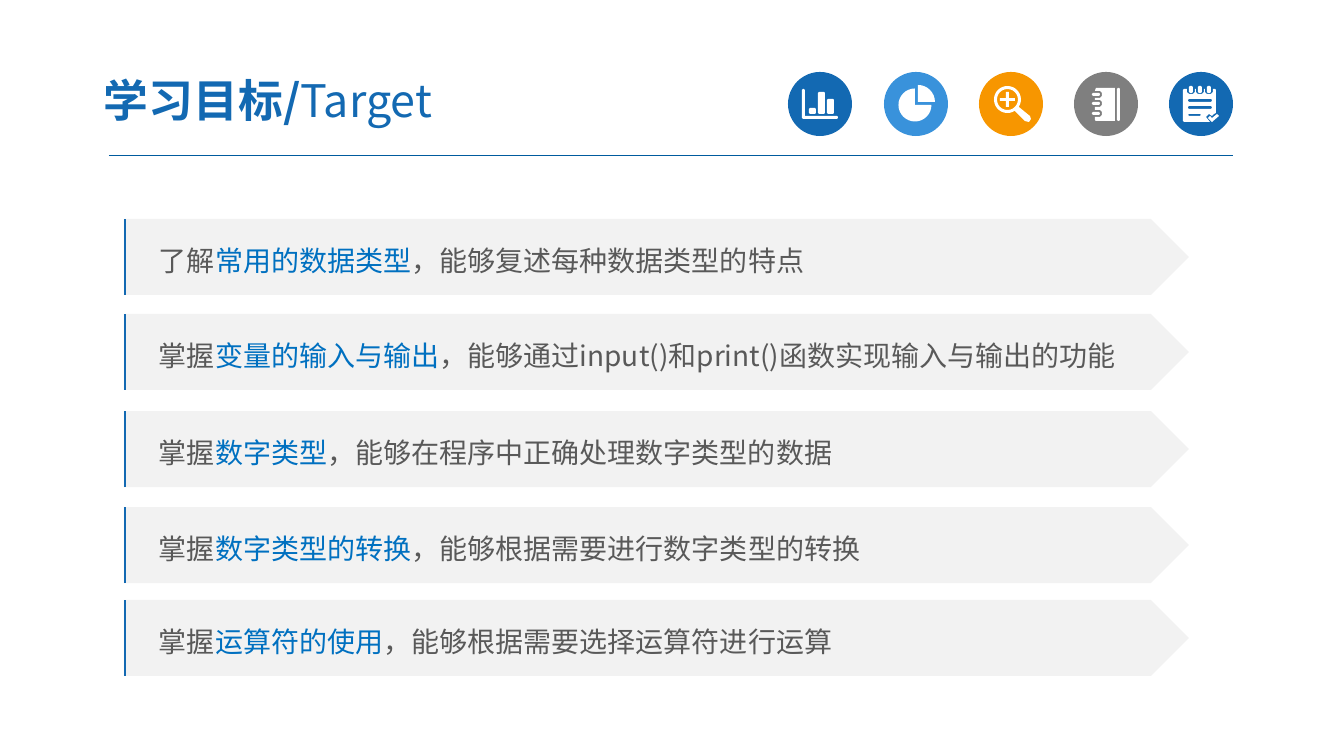
from math import ceil, cos, radians, sin

from lxml import etree
from pptx import Presentation
from pptx.dml.color import RGBColor
from pptx.enum.shapes import MSO_CONNECTOR, MSO_SHAPE
from pptx.enum.text import MSO_ANCHOR, PP_ALIGN
from pptx.oxml.ns import qn
from pptx.util import Emu, Pt

LINE = MSO_CONNECTOR.STRAIGHT
OVAL, PENTAGON = MSO_SHAPE.OVAL, MSO_SHAPE.PENTAGON
MIDDLE, LEFT = MSO_ANCHOR.MIDDLE, PP_ALIGN.LEFT

FONT = "Noto Sans CJK SC"
BLUE = RGBColor(0x13, 0x69, 0xB2)
SKY = RGBColor(0x39, 0x92, 0xDB)
ORANGE = RGBColor(0xF7, 0x96, 0x00)
GRAY = RGBColor(0x7F, 0x7F, 0x7F)
WHITE = RGBColor(0xFF, 0xFF, 0xFF)
RULE = RGBColor(0x00, 0x5B, 0x9E)
PALE = RGBColor(0xF2, 0xF2, 0xF2)
TEXT = RGBColor(0x59, 0x59, 0x59)
ACCENT = RGBColor(0x00, 0x70, 0xC0)

EMU_PER_PX = 914400 / 100.8
ICON_LEFT, ICON_TOP, ICON_SIZE, ICON_PITCH = 788, 72, 64, 95.25
BAR_LEFT, BAR_WIDTH, BAR_HEIGHT, EDGE_WIDTH = 124, 1065, 76, 12

GOALS = [
    (219, "了解", "常用的数据类型", "，能够复述每种数据类型的特点"),
    (314, "掌握", "变量的输入与输出", "，能够通过input()和print()函数实现输入与输出的功能"),
    (411, "掌握", "数字类型", "，能够在程序中正确处理数字类型的数据"),
    (507, "掌握", "数字类型的转换", "，能够根据需要进行数字类型的转换"),
    (600, "掌握", "运算符的使用", "，能够根据需要选择运算符进行运算"),
]


def px(value):
    return Emu(round(value * EMU_PER_PX))


def paint(sp, color):
    sp.shadow.inherit = False
    sp.fill.solid()
    sp.fill.fore_color.rgb = color
    sp.line.fill.background()


def add_shape(s, kind, x, y, w, h, color):
    sp = s.shapes.add_shape(kind, px(x), px(y), px(w), px(h))
    paint(sp, color)
    return sp


def add_glyph(s, x, y, contours):
    placed = [[(px(x + dx), px(y + dy)) for dx, dy in points] for points in contours]
    builder = s.shapes.build_freeform(*placed[0][0])
    for i, points in enumerate(placed):
        if i:
            builder.move_to(*points[0])
        builder.add_line_segments(points[1:], close=True)
    paint(builder.convert_to_shape(), WHITE)


def add_edge(s, x, top, height):
    builder = s.shapes.build_freeform(px(x), px(top + height))
    builder.add_line_segments([(px(x), px(top))], close=False)
    builder.move_to(px(x + EDGE_WIDTH), px(top))
    edge = builder.convert_to_shape()
    edge.shadow.inherit = False
    edge.fill.background()
    edge.line.color.rgb = BLUE
    edge.line.width = Pt(1.5)


def add_rule(s, x1, x2, y):
    line = s.shapes.add_connector(LINE, px(x1), px(y), px(x2), px(y))
    line.line.color.rgb = RULE
    line.line.width = Pt(0.75)
    etree.SubElement(line._element.spPr, qn("a:effectLst"))


def add_run(p, text, *, size, color, bold=False):
    r = p.add_run()
    r.text = text
    r.font.name = FONT
    r.font.size = Pt(size)
    r.font.bold = bold
    r.font.color.rgb = color
    ea = etree.SubElement(r._r.get_or_add_rPr(), qn("a:ea"))
    ea.set("typeface", FONT)


def set_frame(sp, left, right, vertical):
    tf = sp.text_frame
    tf.word_wrap = True
    tf.vertical_anchor = MIDDLE
    tf.margin_left, tf.margin_right = px(left), px(right)
    tf.margin_top = tf.margin_bottom = px(vertical)
    p = tf.paragraphs[0]
    p.alignment = LEFT
    return p


def strip(x, y, w, h, cut=1):
    r, b = x + w, y + h
    return [(x + cut, y), (r - cut, y), (r, y + cut), (r, b - cut),
            (r - cut, b), (x + cut, b), (x, b - cut), (x, y + cut)]


def arc(cx, cy, radius, start, end, steps):
    angles = [radians(start + (end - start) * i / steps) for i in range(steps + 1)]
    return [(cx + radius * cos(a), cy + radius * sin(a)) for a in angles]


def bar_chart():
    axes = [(14, 18), (15, 17), (16, 17), (17, 18), (17, 44), (49, 44),
            (50, 45), (50, 46), (49, 47), (15, 47), (14, 46)]
    bars = [(21, 36, 7, 6), (30, 20, 7, 22), (39, 27, 7, 15)]
    return [axes] + [strip(*bar) for bar in bars]


def pie_chart():
    most = [(31, 33)] + arc(31, 33, 16.5, 0, 270, 24)
    quarter = [(34, 30)] + arc(34, 30, 17, 270, 360, 8)
    return [most, quarter]


def magnifier():
    outline = arc(28.5, 27.5, 13.5, 57, 393, 28)
    outline += [(51, 44), (52, 47), (50, 50), (46, 49)]
    hole = arc(28.5, 27.5, 10.5, 0, 345, 23)
    plus = [(27, 20), (30, 20), (30, 26), (36, 26), (36, 29), (30, 29),
            (30, 35), (27, 35), (27, 29), (21, 29), (21, 26), (27, 26)]
    return [outline, hole, plus]


def notebook():
    cover = [(22, 16), (41, 16), (41, 49), (22, 49), (21, 48)]
    ring_tops = (40, 30, 21)
    for y in ring_tops:
        cover += [(21, y + 5), (26, y + 5), (28, y + 3),
                  (28, y), (26, y - 2), (21, y - 2)]
    return [cover, strip(43, 16, 3, 33)] + [strip(18, y, 8, 3) for y in ring_tops]


def checklist():
    sheet = [(14, 18), (15, 17)]
    ring_lefts = (20, 29, 38)
    for x in ring_lefts:
        sheet += [(x - 2, 17), (x - 2, 20), (x, 22), (x + 4, 22), (x + 6, 20), (x + 6, 17)]
    sheet += [(46, 17), (47, 18), (47, 41), (45, 42), (43, 44), (40, 42),
              (37, 45), (41, 50), (15, 50), (14, 49)]
    check = [(39, 46), (41, 44), (43, 46), (48, 42), (50, 44), (43, 50)]
    lines = [(19, 27, 24, 3), (19, 34, 24, 3), (19, 42, 13, 2)]
    rings = [strip(x, 14, 4, 7) for x in ring_lefts]
    return [sheet, check] + rings + [strip(*line) for line in lines]


def add_icons(s):
    icons = [(bar_chart, BLUE), (pie_chart, SKY), (magnifier, ORANGE),
             (notebook, GRAY), (checklist, BLUE)]
    for i, (glyph, color) in enumerate(icons):
        x = ceil(ICON_LEFT + i * ICON_PITCH)
        add_shape(s, OVAL, x, ICON_TOP, ICON_SIZE, ICON_SIZE, color)
        add_glyph(s, x, ICON_TOP, glyph())


def add_title(s):
    box = s.shapes.add_textbox(px(90), px(64), px(526), px(72))
    p = set_frame(box, 14, 13, 7)
    add_run(p, "学习目标/", size=32, color=BLUE, bold=True)
    add_run(p, "Target", size=32, color=BLUE)


def add_goal(s, top, verb, topic, result):
    bar = add_shape(s, PENTAGON, BAR_LEFT, top, BAR_WIDTH, BAR_HEIGHT, PALE)
    p = set_frame(bar, 35, 10, 5)
    p.line_spacing = 1.2
    for text, color in ((verb, TEXT), (topic, ACCENT), (result, TEXT)):
        add_run(p, text, size=20, color=color)
    add_edge(s, BAR_LEFT + 1, top, BAR_HEIGHT)


def main():
    prs = Presentation()
    prs.slide_width, prs.slide_height = px(1344), px(756)
    s = prs.slides.add_slide(prs.slide_layouts[6])
    add_rule(s, 109, 1233, 156)
    add_icons(s)
    add_title(s)
    for goal in GOALS:
        add_goal(s, *goal)
    prs.save("out.pptx")


if __name__ == "__main__":
    main()
